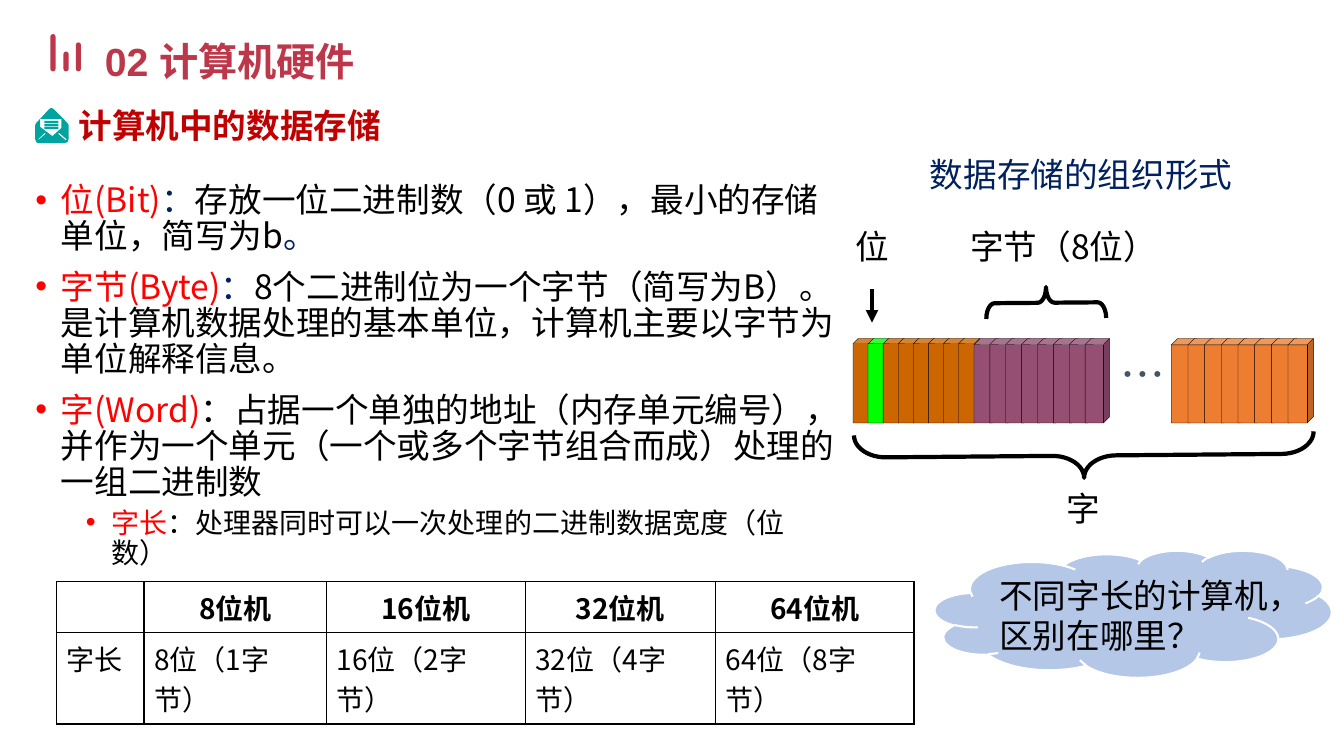
from lxml import etree
from pptx import Presentation
from pptx.dml.color import RGBColor
from pptx.enum.shapes import MSO_CONNECTOR, MSO_SHAPE
from pptx.enum.text import MSO_ANCHOR, MSO_AUTO_SIZE, PP_ALIGN
from pptx.oxml.ns import qn
from pptx.util import Cm, Pt

LEFT, CENTER = PP_ALIGN.LEFT, PP_ALIGN.CENTER
TOP, MIDDLE = MSO_ANCHOR.TOP, MSO_ANCHOR.MIDDLE
CUBE, BRACE = MSO_SHAPE.CUBE, MSO_SHAPE.LEFT_BRACE
CLOUD, ROUNDED = MSO_SHAPE.CLOUD, MSO_SHAPE.ROUNDED_RECTANGLE
SANS = "Noto Sans CJK SC"
COLORS = {
    "crimson": "BD374A", "teal": "00A39E", "dark red": "C00000", "red": "FF0000",
    "navy": "002060", "black": "000000", "white": "FFFFFF", "slate": "44546A",
    "brown": "CC6600", "green": "00FF00", "purple": "954F72", "orange": "ED7D31",
    "light blue": "B4C7E7",
}
# Outline and cut-outs of the envelope, in hundredths of an inch
ENVELOPE = [
    [(67, 122), (68, 124), (68, 138), (67, 141), (64, 142), (38, 142), (36, 141),
     (35, 138), (35, 124), (36, 122), (49, 108), (51, 107), (53, 108)],
    [(40, 118), (40, 126), (52, 135), (61, 127), (61, 118)],
    *[[(44, y), (44, y + 2), (58, y + 2), (58, y)] for y in (120, 123, 126)],
    [(38, 139), (45, 133), (45, 132), (44, 132), (38, 138)],
    [(66, 138), (59, 132), (58, 132), (58, 133), (65, 139), (66, 139)],
]
DEFINITIONS = [
    (0, [("位(Bit)", "red"), ("：", "navy"),
         ("存放一位二进制数（0 或 1），最小的存储单位，简写为b", "black"), ("。", "navy")]),
    (0, [("字节(Byte)", "red"), ("：", "navy"),
         ("8个二进制位为一个字节（简写为B）。是计算机数据处理的基本单位，"
          "计算机主要以字节为单位解释信息。", "black")]),
    (0, [("字(Word)", "red"),
         ("：占据一个单独的地址（内存单元编号），并作为一个单元"
          "（一个或多个字节组合而成）处理的一组二进制数", "black")]),
    (1, [("字长", "red"), ("：处理器同时可以一次处理的二进制数据宽度（位数）", "black")]),
]
WORD_LENGTHS = [
    ["", "8位机", "16位机", "32位机", "64位机"],
    ["字长", "8位（1字节）", "16位（2字节）", "32位（4字节）", "64位（8字节）"],
]


def rgb(color):
    return RGBColor.from_string(COLORS[color])


def add_run(paragraph, text, size, color, bold=False, font=SANS):
    run = paragraph.add_run()
    run.text = text
    run.font.size = Pt(size)
    run.font.bold = bold
    run.font.color.rgb = rgb(color)
    run.font.name = font
    east_asian = etree.SubElement(run.font._element, qn("a:ea"))
    east_asian.set("typeface", SANS)


def move(shape, left, top, width, height):
    shape.left, shape.top = Cm(left), Cm(top)
    shape.width, shape.height = Cm(width), Cm(height)


def prepare_frame(shape, anchor=TOP, wrap=True):
    frame = shape.text_frame
    frame.word_wrap = wrap
    frame.auto_size = MSO_AUTO_SIZE.NONE
    frame.vertical_anchor = anchor
    return frame


def add_label(slide, box, text, color="black", size=24, bold=False,
              align=CENTER, anchor=MIDDLE, wrap=False):
    shape = slide.shapes.add_textbox(*map(Cm, box))
    paragraph = prepare_frame(shape, anchor, wrap).paragraphs[0]
    paragraph.alignment = align
    add_run(paragraph, text, size, color, bold)


def style(shape, fill=None, line=None, width=0.25):
    shape.shadow.inherit = False
    if fill:
        shape.fill.solid()
        shape.fill.fore_color.rgb = rgb(fill)
    else:
        shape.fill.background()
    if line:
        shape.line.color.rgb = rgb(line)
        shape.line.width = Pt(width)
    else:
        shape.line.fill.background()


def add_shape(slide, kind, box, fill=None, line=None, width=0.25):
    shape = slide.shapes.add_shape(kind, *map(Cm, box))
    style(shape, fill, line, width)
    return shape


def add_cubes(slide, left, step, width, colors):
    for index, color in enumerate(colors):
        add_shape(slide, CUBE, (left + index * step, 8.53, width, 2.13), color, "black")


def add_brace(slide, box, rotation, curl):
    brace = add_shape(slide, BRACE, box, line="black", width=3)
    brace.rotation = rotation
    brace.adjustments[0] = curl


def add_arrow(slide, x, top, bottom):
    arrow = slide.shapes.add_connector(
        MSO_CONNECTOR.STRAIGHT, Cm(x), Cm(top), Cm(x), Cm(bottom))
    arrow.line.color.rgb = rgb("black")
    arrow.line.width = Pt(3)
    etree.SubElement(arrow.line._get_or_add_ln(), qn("a:tailEnd")).set("type", "triangle")
    etree.SubElement(arrow._element.spPr, qn("a:effectLst"))


def add_envelope(slide):
    outline, *cutouts = ENVELOPE
    builder = slide.shapes.build_freeform(*outline[0], scale=Cm(2.54) / 100)
    builder.add_line_segments(outline[1:])
    for cutout in cutouts:
        builder.move_to(*cutout[0])
        builder.add_line_segments(cutout[1:])
    style(builder.convert_to_shape(), "teal")


def fill_title(slide):
    title = slide.shapes.title
    move(title, 2.39, 0.51, 11.53, 1.6)
    paragraph = prepare_frame(title).paragraphs[0]
    paragraph.alignment = LEFT
    paragraph.line_spacing = 1.25
    add_run(paragraph, "02 计算机硬件", 28, "crimson", True, "Arial")


def fill_definitions(slide):
    body = slide.placeholders[1]
    move(body, 0.64, 4.5, 20.68, 9.27)
    frame = prepare_frame(body)
    for index, (level, runs) in enumerate(DEFINITIONS):
        paragraph = frame.add_paragraph() if index else frame.paragraphs[0]
        paragraph.level = level
        properties = paragraph._p.get_or_add_pPr()
        properties.set("marL", str(Cm(1.91 if level else 0.64)))
        properties.set("indent", str(-Cm(0.64)))
        etree.SubElement(properties, qn("a:buFont")).set("typeface", "Arial")
        etree.SubElement(properties, qn("a:buChar")).set("char", "•")
        paragraph.line_spacing = 0.9
        paragraph.space_before = Pt((5 if level else 10) if index else 0)
        for text, color in runs:
            add_run(paragraph, text, 20 if level else 24, color)


def set_borders(cell):
    properties = cell._tc.get_or_add_tcPr()
    for position, side in enumerate(("a:lnL", "a:lnR", "a:lnT", "a:lnB")):
        border = etree.Element(qn(side), w=str(Pt(1)))
        fill = etree.SubElement(border, qn("a:solidFill"))
        etree.SubElement(fill, qn("a:srgbClr")).set("val", COLORS["black"])
        properties.insert(position, border)


def add_word_length_table(slide):
    widths = (2.21, 4.6, 5, 4.8, 5)
    table = slide.shapes.add_table(
        2, 5, Cm(1.42), Cm(14.66), Cm(sum(widths)), Cm(2.1)).table
    for column, width in zip(table.columns, widths):
        column.width = Cm(width)
    for row, texts in enumerate(WORD_LENGTHS):
        table.rows[row].height = Cm(1.05)
        for column, text in enumerate(texts):
            cell = table.cell(row, column)
            cell.fill.solid()
            cell.fill.fore_color.rgb = rgb("white")
            set_borders(cell)
            if text:
                paragraph = cell.text_frame.paragraphs[0]
                paragraph.alignment = LEFT if row else CENTER
                add_run(paragraph, text, 20, "black", bold=row == 0)


def add_question_cloud(slide):
    cloud = add_shape(slide, CLOUD, (23.55, 13.87, 10, 3.2), "light blue", "white", 1.5)
    frame = prepare_frame(cloud, wrap=False)
    for index, text in enumerate(("不同字长的计算机，", "区别在哪里？")):
        paragraph = frame.add_paragraph() if index else frame.paragraphs[0]
        paragraph.alignment = LEFT
        add_run(paragraph, text, 24, "black", font="Times New Roman")


def main():
    presentation = Presentation()
    presentation.slide_width, presentation.slide_height = Cm(33.86), Cm(19.05)
    slide = presentation.slides.add_slide(presentation.slide_layouts[1])

    # Heading
    for left, top, height in ((1.27, 0.86, 0.94), (1.6, 1.3, 0.5), (1.91, 1.07, 0.73)):
        bar = add_shape(slide, ROUNDED, (left, top, 0.13, height), "crimson")
        bar.adjustments[0] = 0.5
    fill_title(slide)
    add_envelope(slide)
    add_label(slide, (1.73, 2.51, 8.26, 1.27), "计算机中的数据存储", "dark red",
              bold=True, align=LEFT, anchor=TOP)

    # Definitions and word lengths
    fill_definitions(slide)
    add_word_length_table(slide)

    # Bits, bytes and word
    add_label(slide, (23.01, 3.76, 8.46, 1.27), "数据存储的组织形式", "navy",
              anchor=TOP, wrap=True)
    add_cubes(slide, 21.49, 0.38, 0.53, ["brown", "green"] + ["brown"] * 6)
    add_cubes(slide, 24.54, 0.4, 0.61, ["purple"] * 8)
    add_cubes(slide, 29.51, 0.42, 0.64, ["orange"] * 8)
    add_label(slide, (28.07, 8.59, 1.45, 1.63), "…", "slate", size=32)
    add_label(slide, (21.29, 5.56, 1.37, 1.27), "位")
    add_arrow(slide, 21.97, 7.29, 8.13)
    add_brace(slide, (26.75, 5.69, 1.12, 11.58), 269.5, 0.72)
    add_label(slide, (26.62, 12.17, 1.37, 1.27), "字")
    add_brace(slide, (25.96, 6.12, 0.79, 3.02), 89.5, 0.27)
    add_label(slide, (24.16, 5.56, 5.28, 1.27), "字节（8位）", wrap=True)

    # Question
    add_question_cloud(slide)
    presentation.save("out.pptx")


if __name__ == "__main__":
    main()
